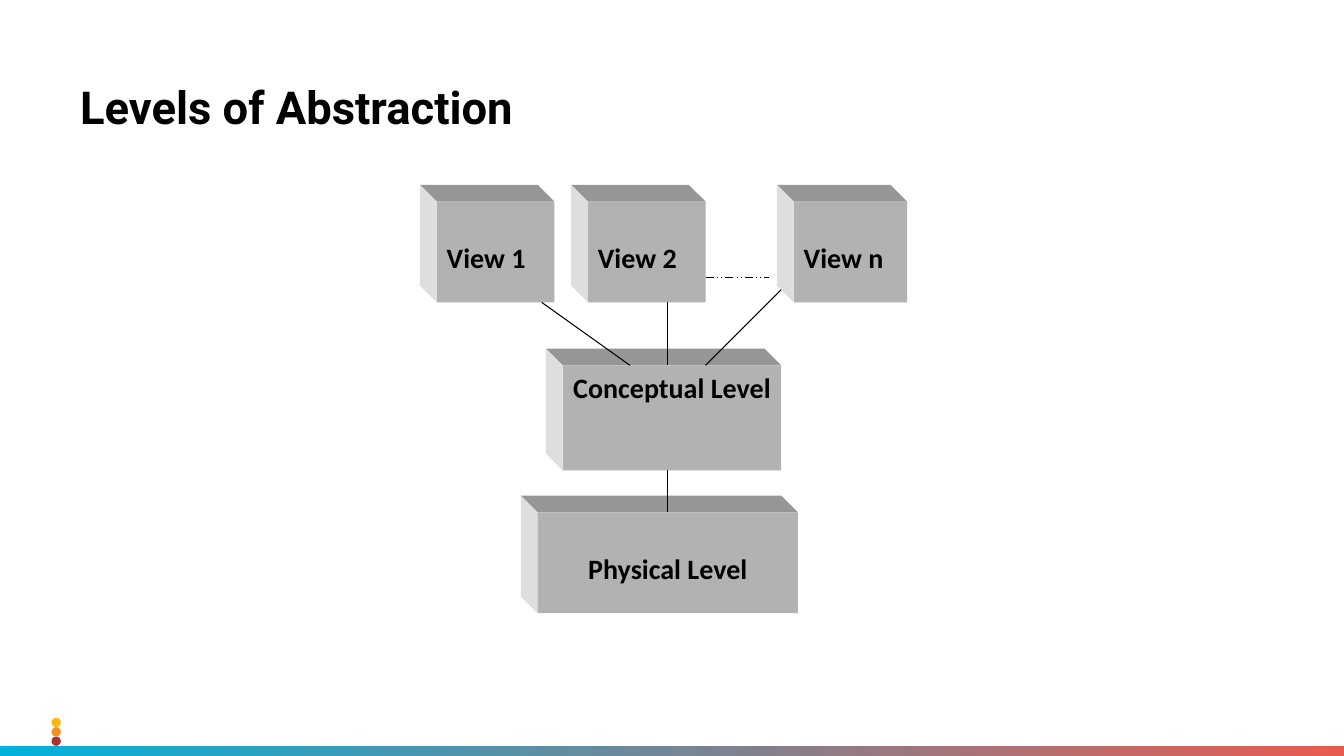
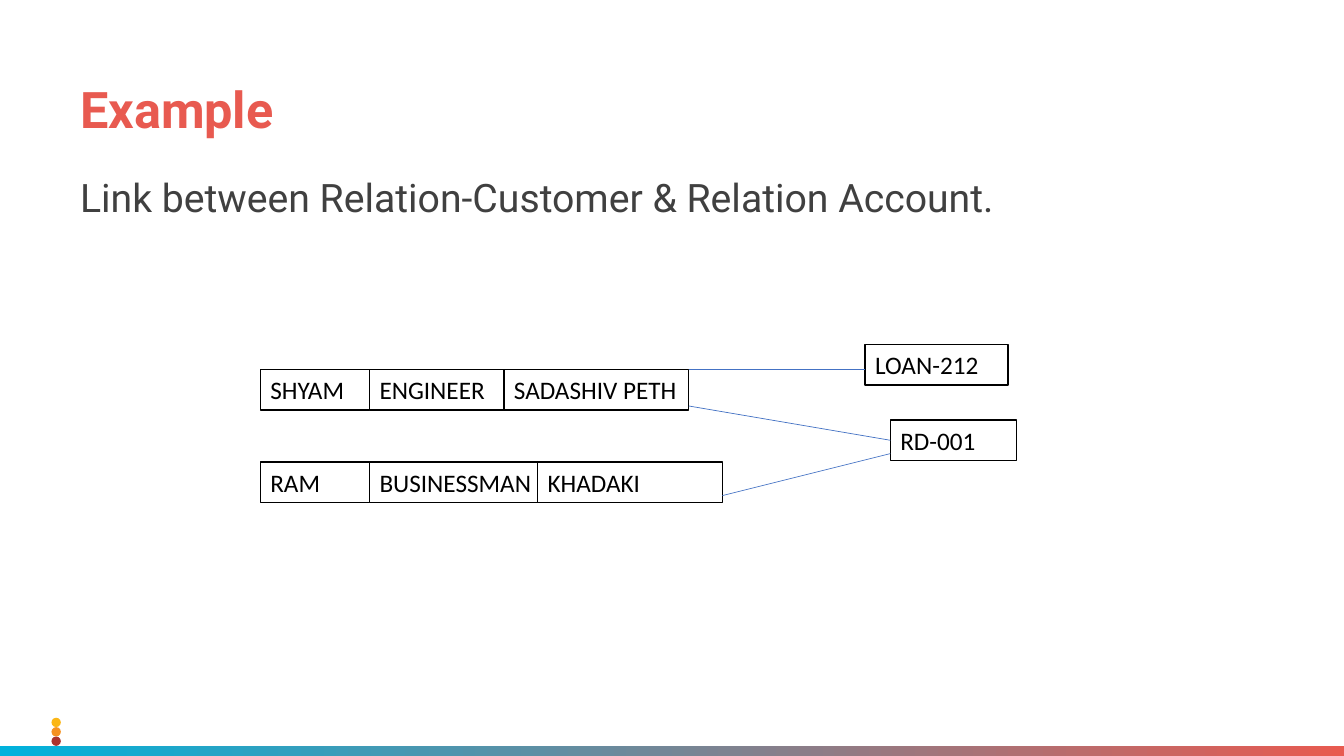
"""Build two database slides: levels of abstraction and linked records."""
from lxml import etree
from pptx import Presentation
from pptx.dml.color import RGBColor
from pptx.enum.dml import MSO_LINE
from pptx.enum.shapes import MSO_CONNECTOR, MSO_SHAPE
from pptx.enum.text import MSO_ANCHOR, MSO_AUTO_SIZE, PP_ALIGN
from pptx.oxml.ns import qn
from pptx.util import Pt

RECTANGLE = MSO_SHAPE.RECTANGLE
OVAL = MSO_SHAPE.OVAL
STRAIGHT = MSO_CONNECTOR.STRAIGHT
LEFT, CENTER = PP_ALIGN.LEFT, PP_ALIGN.CENTER
TOP = MSO_ANCHOR.TOP
NO_FIT = MSO_AUTO_SIZE.NONE
DASH_DOT_DOT = MSO_LINE.DASH_DOT_DOT
TOP_SIDE, LEFT_SIDE = 0, 1

HEX = {
    "black": "000000", "white": "FFFFFF", "coral": "E85A50", "cyan": "00B2DC",
    "yellow": "FBB615", "orange": "F59120", "red": "AC322C", "body": "404040",
    "link": "4472C4", "front": "B2B2B2", "top": "969696", "side": "DEDEDE",
}
COLOR = {name: RGBColor.from_string(value) for name, value in HEX.items()}
HEADING_FONT, LABEL_FONT = "Roboto", "Calibri"


def add_box(shapes, text, left, top, width, height, fill, size, bold=False):
    box = shapes.add_shape(RECTANGLE, Pt(left), Pt(top), Pt(width), Pt(height))
    box.shadow.inherit = False
    box.fill.solid()
    box.fill.fore_color.rgb = COLOR[fill]
    box.line.fill.background()
    frame = box.text_frame
    frame.word_wrap = True
    frame.vertical_anchor = TOP
    para = frame.paragraphs[0]
    para.alignment = LEFT
    span = para.add_run()
    span.text = text
    span.font.name = LABEL_FONT
    span.font.size = Pt(size)
    span.font.bold = bold
    span.font.color.rgb = COLOR["black"]
    return box


def add_link(page, points, color, weight):
    link = page.shapes.add_connector(STRAIGHT, *[Pt(value) for value in points])
    link.line.color.rgb = COLOR[color]
    link.line.width = Pt(weight)
    etree.SubElement(link.element.spPr, qn("a:effectLst"))
    return link


deck = Presentation()
deck.slide_width, deck.slide_height = Pt(960), Pt(540)
master = deck.slide_master
content_layout, title_layout = deck.slide_layouts[1], deck.slide_layouts[5]

heading = master.placeholders[0]
heading.left, heading.top, heading.width, heading.height = Pt(50), Pt(57), Pt(870), Pt(53)
heading.text_frame.vertical_anchor = TOP

pages = []
for layout, title, size, color in (
    (title_layout, "Levels of Abstraction", 32.4, "black"),
    (content_layout, "Example", 36, "coral"),
):
    page = deck.slides.add_slide(layout)
    frame = page.shapes.title.text_frame
    frame.auto_size = NO_FIT
    para = frame.paragraphs[0]
    para.alignment = LEFT
    para.line_spacing = 0.9
    span = para.add_run()
    span.text = title
    span.font.name = HEADING_FONT
    span.font.size = Pt(size)
    span.font.bold = True
    span.font.color.rgb = COLOR[color]
    pages.append(page)
levels_page, example_page = pages

band = levels_page.shapes.add_shape(RECTANGLE, 0, Pt(533), Pt(960), Pt(7))
band.fill.gradient()
band.fill.gradient_angle = 0
for stop, color in zip(band.fill.gradient_stops, ("cyan", "coral")):
    stop.color.rgb = COLOR[color]
footer = [band]
for index, color in enumerate(("yellow", "orange", "red")):
    dot = levels_page.shapes.add_shape(OVAL, Pt(36.8), Pt(512.7 + 6.7 * index), Pt(6.7), Pt(6.7))
    dot.fill.solid()
    dot.fill.fore_color.rgb = COLOR[color]
    footer.append(dot)
for shape in footer:
    shape.shadow.inherit = False
    shape.line.fill.background()
    master.shapes.element.append(shape.element)

DEPTH = 12
blocks = {}
for text, left, top, width, height, align, inset_top, inset_side in (
    ("View 1", 312, 144, 84, 72, LEFT, 28, 7.2),
    ("View 2", 420, 144, 84, 72, LEFT, 28, 7.2),
    ("View n", 567, 144, 81, 72, LEFT, 28, 7.2),
    ("Conceptual Level", 402, 261, 156, 75, CENTER, 3.6, 3.6),
    ("Physical Level", 384, 366, 186, 72, CENTER, 28, 3.6),
):
    right, bottom = left + width, top + height
    back_left, back_top = left - DEPTH, top - DEPTH
    faces = {
        "top": [(left, top), (back_left, back_top), (right - DEPTH, back_top), (right, top)],
        "side": [(left, top), (back_left, back_top), (back_left, bottom - DEPTH), (left, bottom)],
    }
    for color, corners in faces.items():
        start, *rest = [(Pt(x), Pt(y)) for x, y in corners]
        outline = levels_page.shapes.build_freeform(*start)
        outline.add_line_segments(rest, close=True)
        face = outline.convert_to_shape()
        face.shadow.inherit = False
        face.fill.solid()
        face.fill.fore_color.rgb = COLOR[color]
        face.line.fill.background()
    block = add_box(levels_page.shapes, text, left, top, width, height, "front", 20, True)
    frame = block.text_frame
    frame.margin_top = Pt(inset_top)
    frame.margin_left = frame.margin_right = Pt(inset_side)
    frame.paragraphs[0].alignment = align
    blocks[text] = block

for points in ((477, 216, 477, 261), (504, 261, 558, 207), (387, 216, 450, 261)):
    add_link(levels_page, points, "black", 0.75)
more_views = add_link(levels_page, (504, 198, 549, 198), "black", 0.75)
more_views.line.dash_style = DASH_DOT_DOT
storage_link = add_link(levels_page, (477, 336, 477, 366), "black", 0.5)
storage_link.end_connect(blocks["Physical Level"], TOP_SIDE)

body = example_page.placeholders[1]
body.left, body.top, body.width, body.height = Pt(50), Pt(124), Pt(870), Pt(343)
body.text_frame.auto_size = NO_FIT
para = body.text_frame.paragraphs[0]
para.line_spacing = 0.9
para.space_before = Pt(10)
properties = para._p.get_or_add_pPr()
properties.set("marL", "0")
properties.set("indent", "0")
etree.SubElement(properties, qn("a:buNone"))
span = para.add_run()
span.text = "Link between Relation-Customer & Relation Account."
span.font.name = HEADING_FONT
span.font.size = Pt(28)
span.font.color.rgb = COLOR["body"]

customer_rows = (
    (264, (("SHYAM", 186, 78), ("ENGINEER", 264, 96), ("SADASHIV PETH", 360, 132))),
    (330, (("RAM", 186, 78), ("BUSINESSMAN", 264, 126), ("KHADAKI", 384, 132))),
)
fields = []
for top, cells in customer_rows:
    row = example_page.shapes.add_group_shape()
    for text, left, width in cells:
        fields.append(add_box(row.shapes, text, left, top, width, 29, "white", 18))
loan = add_box(example_page.shapes, "LOAN-212", 618, 246, 102, 29, "white", 18)
deposit = add_box(example_page.shapes, "RD-001", 636, 300, 90, 29, "white", 18)
for box in (*fields, loan, deposit):
    box.line.color.rgb = COLOR["black"]
    box.line.width = Pt(1)

add_link(example_page, (492, 264, 618, 264), "link", 0.5)
add_link(example_page, (516, 354, 636, 324), "link", 0.5)
deposit_link = add_link(example_page, (492, 290, 636, 314.5), "link", 0.5)
deposit_link.end_connect(deposit, LEFT_SIDE)

deck.save("out.pptx")
